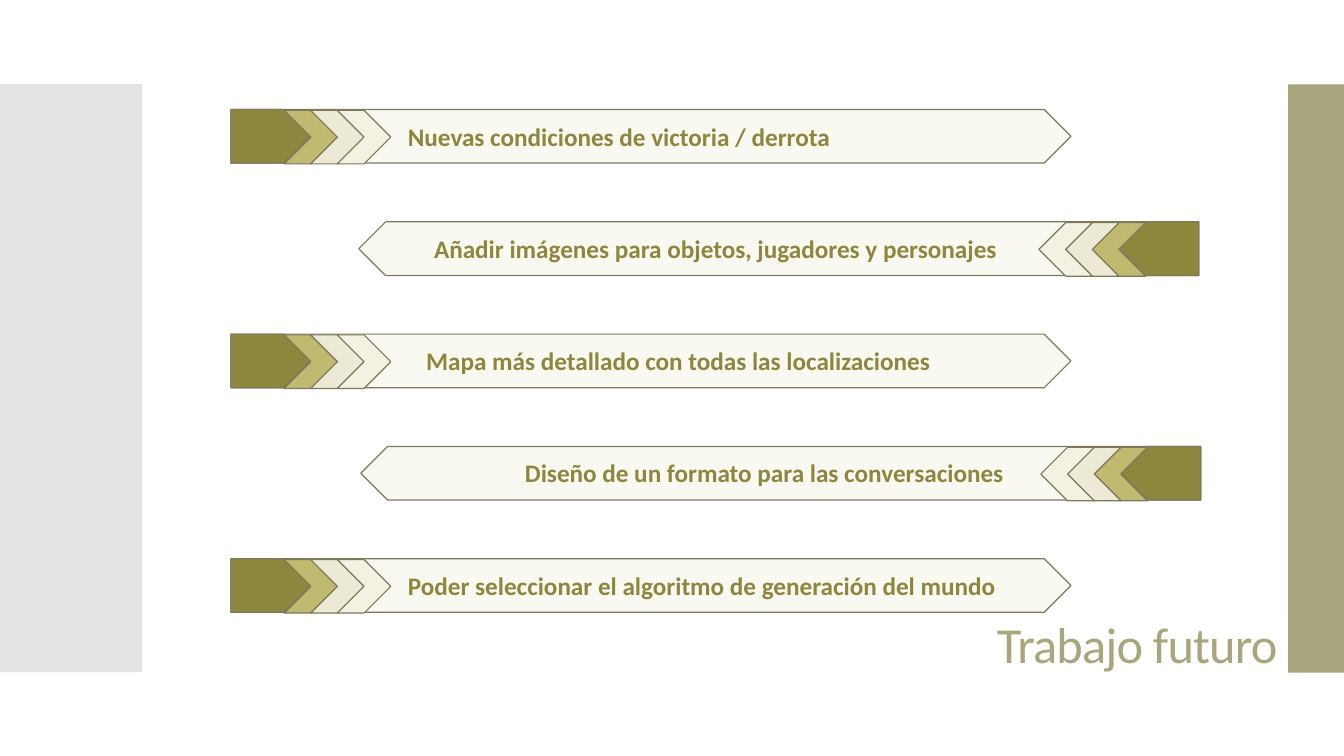
from dataclasses import dataclass

from lxml.etree import SubElement
from pptx import Presentation
from pptx.dml.color import RGBColor
from pptx.enum.shapes import MSO_SHAPE
from pptx.enum.text import MSO_ANCHOR, MSO_AUTO_SIZE, PP_ALIGN
from pptx.oxml.ns import qn
from pptx.shapes.autoshape import Shape
from pptx.slide import Slide
from pptx.util import Cm, Pt

OLIVE = RGBColor(0x8D, 0x87, 0x3E)
SAGE = RGBColor(0xA9, 0xA5, 0x7C)
GRAY = RGBColor(0xC8, 0xC8, 0xC8)
CREAM = RGBColor(0xF9, 0xF8, 0xF1)
OUTLINE = RGBColor(0x7D, 0x7A, 0x5C)
CHEVRONS = (
    RGBColor(0xC0, 0xBA, 0x71),
    RGBColor(0xEC, 0xEA, 0xD4),
    RGBColor(0xF2, 0xF1, 0xE2),
)

FONT = "Calibri"
ROW_TOP, ROW_PITCH, ROW_H = 2.76, 2.83, 1.35
BAR_W, CAP_W = 21.17, 2.01
CHEVRON_START, CHEVRON_STEP = 1.34, 0.67


@dataclass(frozen=True)
class Item:
    text: str
    bar_left: float
    text_left: float
    text_width: float
    flipped: bool = False


ITEMS = (
    Item("Nuevas condiciones de victoria / derrota", 5.82, 10.03, 11.48),
    Item("Añadir imágenes para objetos, jugadores y personajes", 9.04, 10.69, 15.34, True),
    Item("Mapa más detallado con todas las localizaciones", 5.82, 10.49, 13.97),
    Item("Diseño de un formato para las conversaciones", 9.09, 12.98, 15.34, True),
    Item("Poder seleccionar el algoritmo de generación del mundo", 5.82, 10.03, 15.88),
)


def add_filled(s: Slide, kind: MSO_SHAPE, left: float, top: float,
               width: float, height: float, color: RGBColor) -> Shape:
    sp = s.shapes.add_shape(kind, Cm(left), Cm(top), Cm(width), Cm(height))
    sp.shadow.inherit = False
    sp.fill.solid()
    sp.fill.fore_color.rgb = color
    sp.line.fill.background()
    return sp


def add_piece(s: Slide, item: Item, kind: MSO_SHAPE, offset: float,
              top: float, width: float, color: RGBColor) -> None:
    left = item.bar_left + (BAR_W - offset - width if item.flipped else offset)
    sp = add_filled(s, kind, left, top, width, ROW_H, color)
    sp.line.color.rgb = OUTLINE
    sp.line.width = Pt(0.85)
    sp.rotation = 180 if item.flipped else 0


def add_item(s: Slide, item: Item, top: float) -> None:
    add_piece(s, item, MSO_SHAPE.PENTAGON, 0, top, BAR_W, CREAM)
    add_piece(s, item, MSO_SHAPE.PENTAGON, 0, top, CAP_W, OLIVE)
    for i, color in enumerate(CHEVRONS):
        offset = CHEVRON_START + i * CHEVRON_STEP
        add_piece(s, item, MSO_SHAPE.CHEVRON, offset, top + 0.02, ROW_H, color)

    sp = s.shapes.add_textbox(Cm(item.text_left), Cm(top + 0.16), Cm(item.text_width), Cm(1.03))
    tf = sp.text_frame
    tf.word_wrap = True
    tf.auto_size = MSO_AUTO_SIZE.SHAPE_TO_FIT_TEXT
    p = tf.paragraphs[0]
    p.text = item.text
    p.font.name = FONT
    p.font.size = Pt(18)
    p.font.bold = True
    p.font.color.rgb = OLIVE


def add_title(s: Slide, text: str) -> None:
    sp = s.shapes.add_textbox(Cm(16.13), Cm(4.09), Cm(16.31), Cm(13.03))
    tf = sp.text_frame
    tf.word_wrap = True
    tf.vertical_anchor = MSO_ANCHOR.BOTTOM
    p = tf.paragraphs[0]
    p.alignment = PP_ALIGN.RIGHT
    p.line_spacing = 0.9
    r = p.add_run()
    r.text = text
    r.font.name = FONT
    r.font.size = Pt(36)
    r.font.color.rgb = SAGE
    r.font._element.set("spc", "-60")


def add_side_panels(s: Slide) -> None:
    panel = add_filled(s, MSO_SHAPE.RECTANGLE, 0, 2.12, 3.58, 14.82, GRAY)
    color = panel.fill._xPr.find(qn("a:solidFill"))[0]
    SubElement(color, qn("a:alpha")).set("val", "50000")
    add_filled(s, MSO_SHAPE.RECTANGLE, 32.46, 2.13, 1.41, 14.82, SAGE)


def main() -> None:
    prs = Presentation()
    prs.slide_width = Cm(33.87)
    prs.slide_height = Cm(19.05)
    s = prs.slides.add_slide(prs.slide_layouts[6])
    add_side_panels(s)
    add_title(s, "Trabajo futuro")
    for i, item in enumerate(ITEMS):
        add_item(s, item, ROW_TOP + i * ROW_PITCH)
    prs.save("out.pptx")


if __name__ == "__main__":
    main()
